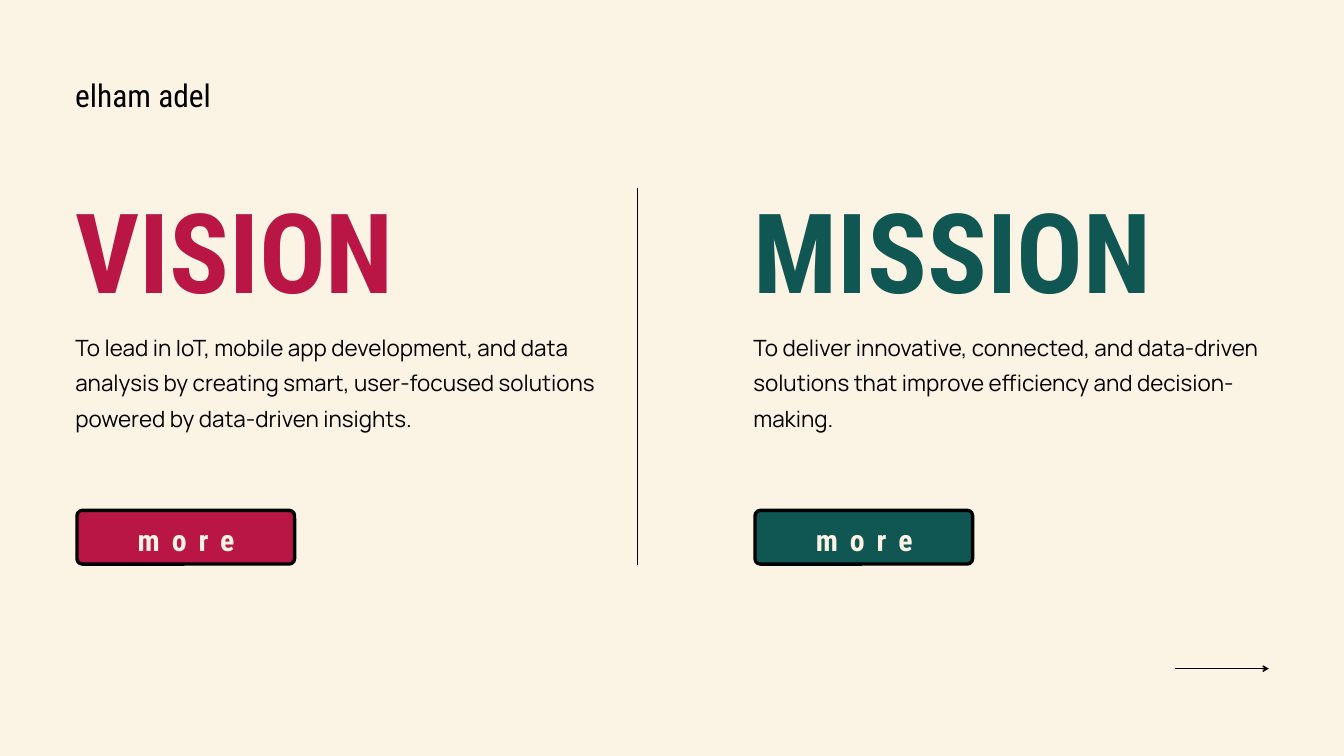
from dataclasses import dataclass

from pptx import Presentation
from pptx.dml.color import RGBColor
from pptx.enum.shapes import MSO_CONNECTOR as Connector, MSO_SHAPE as Shape
from pptx.enum.text import PP_ALIGN as Align
from pptx.oxml.ns import qn
from pptx.util import Pt
from lxml.etree import SubElement


@dataclass(frozen=True)
class Style:
    font: str
    size: float
    leading: float
    bold: bool = False
    tracking: float = 0


@dataclass(frozen=True)
class Theme:
    cream: str = "FBF3E4"
    black: str = "000000"
    crimson: str = "B91646"
    teal: str = "105652"
    name: Style = Style("Roboto Condensed", 33.7, 47.2)
    heading: Style = Style("Roboto Condensed", 118.8, 118.8, bold=True)
    body: Style = Style("Manrope", 24, 38.4)
    button: Style = Style("Roboto Condensed", 32, 44.8, bold=True, tracking=12.8)


THEME = Theme()
LEFT_COLUMN, RIGHT_COLUMN = 80.64, 807.12


def color(value):
    """Return an RGB colour from its hex value."""
    return RGBColor.from_string(value)


def add_text(slide, text, box, style, fill, align=Align.LEFT):
    """Add one paragraph of styled text in a box without margins."""
    text_frame = slide.shapes.add_textbox(*map(Pt, box)).text_frame
    text_frame.margin_left = text_frame.margin_right = 0
    text_frame.margin_top = text_frame.margin_bottom = 0
    text_frame.word_wrap = True
    text_frame.text = text
    paragraph = text_frame.paragraphs[0]
    paragraph.alignment = align
    paragraph.line_spacing = Pt(style.leading)
    run = paragraph.runs[0]
    run.font.name = style.font
    run.font.size = Pt(style.size)
    run.font.bold = style.bold
    run.font.color.rgb = color(fill)
    if style.tracking:
        run.font._element.set("spc", str(round(style.tracking * 100)))


def add_line(slide, start, end, arrow=False):
    """Add a thin black line, with an arrowhead at its end if wanted."""
    line = slide.shapes.add_connector(Connector.STRAIGHT, *map(Pt, start + end))
    line.line.color.rgb = color(THEME.black)
    line.line.width = Pt(1.5)
    if arrow:
        SubElement(line.line._get_or_add_ln(), qn("a:tailEnd"), type="arrow")
    SubElement(line._element.spPr, qn("a:effectLst"))


def add_button(slide, left, label, fill):
    """Add a rounded, outlined button with its label."""
    shape = slide.shapes.add_shape(
        Shape.ROUNDED_RECTANGLE, Pt(left + 1.8), Pt(546.8), Pt(233.2), Pt(57.6))
    shape.adjustments[0] = 0.1
    shape.shadow.inherit = False
    shape.fill.solid()
    shape.fill.fore_color.rgb = color(fill)
    shape.line.color.rgb = color(THEME.black)
    shape.line.width = Pt(3.6)
    add_text(slide, label, (left + 22.32, 553, 193, 42.5),
             THEME.button, THEME.cream, Align.CENTER)


def add_column(slide, left, heading, body, body_width, fill):
    """Add a heading, its statement and its button."""
    add_text(slide, heading, (left, 219.6, 473.8, 126), THEME.heading, fill)
    add_text(slide, body, (left, 347.8, body_width, 114.5), THEME.body, THEME.black)
    add_button(slide, left, "more", fill)


def main():
    """Build the vision and mission slide and save it."""
    presentation = Presentation()
    presentation.slide_width, presentation.slide_height = Pt(1440), Pt(810)
    slide = presentation.slides.add_slide(presentation.slide_layouts[6])
    slide.background.fill.solid()
    slide.background.fill.fore_color.rgb = color(THEME.cream)

    add_text(slide, "elham adel", (LEFT_COLUMN, 74.9, 419.8, 46),
             THEME.name, THEME.black)
    add_column(slide, LEFT_COLUMN, "VISION",
               "To lead in IoT, mobile app development, and data analysis by creating "
               "smart, user-focused solutions powered by data-driven insights.",
               563, THEME.crimson)
    add_column(slide, RIGHT_COLUMN, "MISSION",
               "To deliver innovative, connected, and data-driven solutions that "
               "improve efficiency and decision-making.",
               551.5, THEME.teal)
    add_line(slide, (683.3, 201.6), (683.3, 605.5))
    add_line(slide, (1259.3, 716.4), (1359.4, 716.4), arrow=True)
    presentation.save("out.pptx")


if __name__ == "__main__":
    main()
